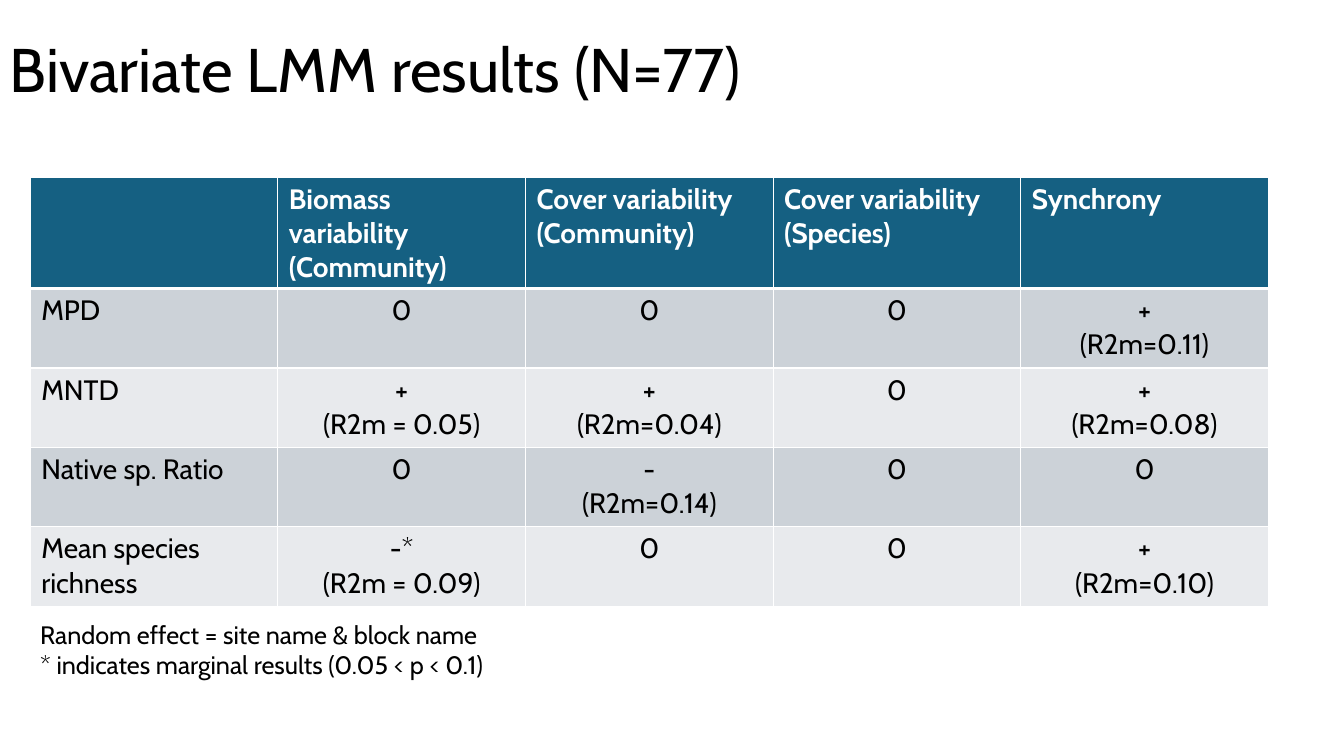
import dataclasses

import lxml.etree
import pptx
import pptx.dml.color
import pptx.enum.text
import pptx.oxml.ns
import pptx.presentation
import pptx.slide
import pptx.table
import pptx.text.text
import pptx.util

WHITE = pptx.dml.color.RGBColor(0xFF, 0xFF, 0xFF)
BLACK = pptx.dml.color.RGBColor(0x00, 0x00, 0x00)
HEADER_BLUE = pptx.dml.color.RGBColor(0x15, 0x60, 0x82)
BAND_FILLS = (
    pptx.dml.color.RGBColor(0xCC, 0xD2, 0xD8),
    pptx.dml.color.RGBColor(0xE8, 0xEA, 0xED),
)
FONT_NAME = "Cabin"
SLIDE_WIDTH = pptx.util.Inches(13.33)
SLIDE_HEIGHT = pptx.util.Inches(7.5)

HEADERS = (
    "",
    "Biomass variability (Community)",
    "Cover variability (Community)",
    "Cover variability (Species)",
    "Synchrony",
)
RESULTS = (
    ("MPD", "0", "0", "0", "+\n(R2m=0.11)"),
    ("MNTD", "+\n(R2m = 0.05)", "+\n(R2m=0.04)", "0", "+\n(R2m=0.08)"),
    ("Native sp. Ratio", "0", "-\n(R2m=0.14)", "0", "0"),
    ("Mean species richness", "-*\n(R2m = 0.09)", "0", "0", "+\n(R2m=0.10)"),
)


@dataclasses.dataclass(frozen=True)
class Area:
    """A rectangle in percent of the slide's width and height."""

    left: float
    top: float
    width: float
    height: float

    def lengths(self) -> tuple[int, int, int, int]:
        return (
            int(SLIDE_WIDTH * self.left / 100),
            int(SLIDE_HEIGHT * self.top / 100),
            int(SLIDE_WIDTH * self.width / 100),
            int(SLIDE_HEIGHT * self.height / 100),
        )


@dataclasses.dataclass(frozen=True)
class TextStyle:
    size: int
    color: pptx.dml.color.RGBColor = BLACK
    bold: bool = False
    alignment: pptx.enum.text.PP_ALIGN = pptx.enum.text.PP_ALIGN.LEFT
    line_spacing: float = 1.0


@dataclasses.dataclass(frozen=True)
class TextBlock:
    text: str
    area: Area
    style: TextStyle
    anchor: pptx.enum.text.MSO_ANCHOR = pptx.enum.text.MSO_ANCHOR.TOP


TITLE = TextBlock(
    "Bivariate LMM results (N=77)",
    Area(0, 0, 100, 19.33),
    TextStyle(44, line_spacing=0.9),
    pptx.enum.text.MSO_ANCHOR.MIDDLE,
)
FOOTNOTE = TextBlock(
    "Random effect = site name & block name\n"
    "* indicates marginal results (0.05 < p < 0.1)",
    Area(2.25, 81.2, 90.77, 13.47),
    TextStyle(18),
)
TABLE_AREA = Area(2.25, 23.4, 92.12, 56.8)
HEADER_SHARE = 0.26

HEADER_STYLE = TextStyle(20, WHITE, bold=True)
LABEL_STYLE = TextStyle(20)
RESULT_STYLE = TextStyle(20, alignment=pptx.enum.text.PP_ALIGN.CENTER)


def write_text(frame: pptx.text.text.TextFrame, text: str, style: TextStyle) -> None:
    frame.text = text
    for paragraph in frame.paragraphs:
        paragraph.alignment = style.alignment
        paragraph.line_spacing = style.line_spacing
        paragraph.font.name = FONT_NAME
        paragraph.font.size = pptx.util.Pt(style.size)
        paragraph.font.bold = style.bold
        paragraph.font.color.rgb = style.color


def add_text_block(slide: pptx.slide.Slide, block: TextBlock) -> None:
    frame = slide.shapes.add_textbox(*block.area.lengths()).text_frame
    frame.word_wrap = True
    frame.vertical_anchor = block.anchor
    write_text(frame, block.text, block.style)


def set_borders(cell: pptx.table._Cell, top: int, bottom: int) -> None:
    """Draw white cell borders; widths are in points."""
    properties = cell._tc.get_or_add_tcPr()
    widths = {"a:lnL": 1, "a:lnR": 1, "a:lnT": top, "a:lnB": bottom}
    for position, (tag, width) in enumerate(widths.items()):
        line = lxml.etree.Element(pptx.oxml.ns.qn(tag), w=str(pptx.util.Pt(width)))
        fill = lxml.etree.SubElement(line, pptx.oxml.ns.qn("a:solidFill"))
        lxml.etree.SubElement(fill, pptx.oxml.ns.qn("a:srgbClr"), val=str(WHITE))
        properties.insert(position, line)


def style_for(row: int, column: int) -> TextStyle:
    if row == 0:
        return HEADER_STYLE
    return LABEL_STYLE if column == 0 else RESULT_STYLE


def add_results_table(slide: pptx.slide.Slide) -> None:
    rows = (HEADERS, *RESULTS)
    left, top, width, height = TABLE_AREA.lengths()
    table = slide.shapes.add_table(
        len(rows), len(HEADERS), left, top, width, height
    ).table
    header_height = int(height * HEADER_SHARE)
    for row, texts in enumerate(rows):
        table.rows[row].height = (
            header_height if row == 0 else (height - header_height) // len(RESULTS)
        )
        for column, text in enumerate(texts):
            cell = table.cell(row, column)
            cell.margin_left = cell.margin_right = pptx.util.Inches(0.11)
            cell.margin_top = cell.margin_bottom = pptx.util.Inches(0.05)
            cell.fill.solid()
            cell.fill.fore_color.rgb = (
                HEADER_BLUE if row == 0 else BAND_FILLS[(row - 1) % 2]
            )
            set_borders(cell, top=3 if row == 1 else 1, bottom=3 if row == 0 else 1)
            write_text(cell.text_frame, text, style_for(row, column))


def main() -> None:
    presentation = pptx.Presentation()
    presentation.slide_width = SLIDE_WIDTH
    presentation.slide_height = SLIDE_HEIGHT
    slide = presentation.slides.add_slide(presentation.slide_layouts[6])
    add_text_block(slide, TITLE)
    add_results_table(slide)
    add_text_block(slide, FOOTNOTE)
    presentation.save("out.pptx")


if __name__ == "__main__":
    main()
